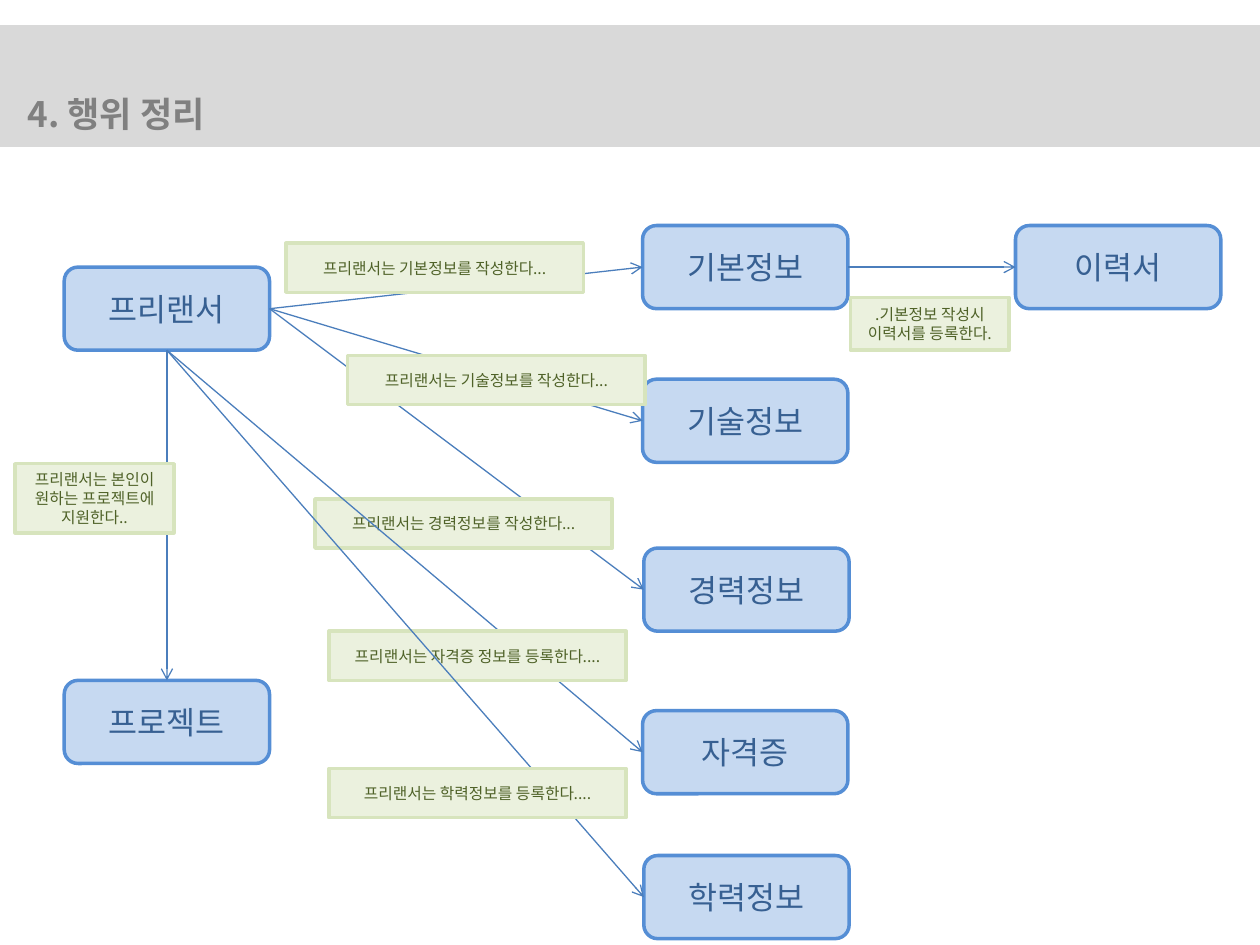
import pptx
import pptx.dml.color
import pptx.enum.shapes
import pptx.enum.text
import pptx.oxml
import pptx.oxml.ns
import pptx.util
from pptx.dml.color import RGBColor
from pptx.util import Inches

FONT = "Noto Sans CJK KR"
BAND_GREY = RGBColor(0xD9, 0xD9, 0xD9)
TITLE_GREY = RGBColor(0x80, 0x80, 0x80)
ENTITY_FILL = RGBColor(0xC6, 0xD9, 0xF1)
ENTITY_LINE = RGBColor(0x55, 0x8E, 0xD5)
ENTITY_TEXT = RGBColor(0x37, 0x60, 0x92)
NOTE_FILL = RGBColor(0xEB, 0xF1, 0xDE)
NOTE_LINE = RGBColor(0xD7, 0xE4, 0xBD)
NOTE_TEXT = RGBColor(0x4F, 0x62, 0x28)
LINK_BLUE = RGBColor(0x4B, 0x7E, 0xBC)

RECTANGLE = pptx.enum.shapes.MSO_SHAPE.RECTANGLE
ROUNDED = pptx.enum.shapes.MSO_SHAPE.ROUNDED_RECTANGLE
CENTER = pptx.enum.text.PP_ALIGN.CENTER
LEFT = pptx.enum.text.PP_ALIGN.LEFT
TOP, LEFT_SIDE, BOTTOM, RIGHT_SIDE = range(4)  # connection sites

ENTITY_SIZE = (1.63, 0.66)
WIDE_NOTE = (2.36, 0.39)

ENTITIES = {
    "프리랜서": (0.51, 2.12),
    "프로젝트": (0.51, 5.4),
    "기본정보": (5.1, 1.79),
    "이력서": (8.06, 1.79),
    "기술정보": (5.1, 3.01),
    "경력정보": (5.11, 4.35),
    "자격증": (5.1, 5.64),
    "학력정보": (5.11, 6.79),
}

# Each stage lays its links first and its notes over them.
STAGES = [
    ([("프리랜서", RIGHT_SIDE, name, LEFT_SIDE)
      for name in ("기본정보", "기술정보", "경력정보")],
     [("프리랜서는 기본정보를 작성한다...", (2.27, 1.93, *WIDE_NOTE)),
      ("프리랜서는 기술정보를 작성한다...", (2.76, 2.82, *WIDE_NOTE)),
      ("프리랜서는 경력정보를 작성한다...", (2.5, 3.96, *WIDE_NOTE))]),
    ([("기본정보", RIGHT_SIDE, "이력서", LEFT_SIDE)],
     [(".기본정보 작성시 이력서를 등록한다.", (6.75, 2.36, 1.26, 0.42))]),
    ([("프리랜서", BOTTOM, "프로젝트", TOP)],
     [("프리랜서는 본인이 원하는 프로젝트에 지원한다..", (0.12, 3.68, 1.26, 0.55))]),
    ([("프리랜서", BOTTOM, "자격증", LEFT_SIDE)],
     [("프리랜서는 자격증 정보를 등록한다....", (2.61, 5.01, *WIDE_NOTE))]),
    ([("프리랜서", BOTTOM, "학력정보", LEFT_SIDE)],
     [("프리랜서는 학력정보를 등록한다....", (2.61, 6.1, *WIDE_NOTE))]),
]


def write_text(shape, text, size, color, alignment=CENTER, bold=False):
    """Write one run into the shape, vertically centred."""
    frame = shape.text_frame
    frame.word_wrap = True
    frame.vertical_anchor = pptx.enum.text.MSO_ANCHOR.MIDDLE
    paragraph = frame.paragraphs[0]
    paragraph.alignment = alignment
    run = paragraph.add_run()
    run.text = text
    run.font.name = FONT
    run.font.size = pptx.util.Pt(size)
    run.font.bold = bold
    run.font.color.rgb = color
    east_asian = pptx.oxml.parse_xml(
        f'<a:ea {pptx.oxml.ns.nsdecls("a")} typeface="{FONT}"/>')
    run.font._element.append(east_asian)


def add_box(slide, kind, box, fill, line):
    """Add a flat filled shape with a two-point outline."""
    shape = slide.shapes.add_shape(kind, *map(Inches, box))
    shape.shadow.inherit = False
    shape.fill.solid()
    shape.fill.fore_color.rgb = fill
    shape.line.color.rgb = line
    shape.line.width = pptx.util.Pt(2)
    return shape


def add_header(slide, box):
    """Lay the grey band in the box and place the title over it."""
    left, top, width, height = box
    band = add_box(slide, RECTANGLE, box, BAND_GREY, BAND_GREY)
    slide.shapes._spTree.insert(2, band._element)
    title = slide.shapes.title
    title.left, title.top = Inches(left + 0.12), Inches(top + 0.47)
    title.width, title.height = Inches(3.78), Inches(0.44)
    write_text(title, "4. 행위 정리", 20, TITLE_GREY, LEFT, True)


def add_entity(slide, name, box):
    """Add a rounded blue entity box."""
    shape = add_box(slide, ROUNDED, box, ENTITY_FILL, ENTITY_LINE)
    write_text(shape, name, 18, ENTITY_TEXT)
    return shape


def add_note(slide, text, box):
    """Add a green box describing an action."""
    shape = add_box(slide, RECTANGLE, box, NOTE_FILL, NOTE_LINE)
    write_text(shape, text, 9, NOTE_TEXT)


def add_link(slide, source, source_site, target, target_site):
    """Join two entities with a thin arrow."""
    connector = slide.shapes.add_connector(
        pptx.enum.shapes.MSO_CONNECTOR.STRAIGHT, 0, 0, 0, 0)
    connector.begin_connect(source, source_site)
    connector.end_connect(target, target_site)
    connector.line.color.rgb = LINK_BLUE
    connector.line.width = pptx.util.Pt(0.75)
    namespace = pptx.oxml.ns.nsdecls("a")
    connector.line._get_or_add_ln().append(
        pptx.oxml.parse_xml(f'<a:tailEnd {namespace} type="arrow"/>'))
    connector._element.spPr.append(
        pptx.oxml.parse_xml(f'<a:effectLst {namespace}/>'))


def add_diagram(slide, box):
    """Draw the entities, links and notes relative to the box's corner."""
    left, top = box[:2]

    def place(x, y, width, height):
        """Shift a rectangle by the corner of the diagram."""
        return left + x, top + y, width, height

    entities = {name: add_entity(slide, name, place(*corner, *ENTITY_SIZE))
                for name, corner in ENTITIES.items()}
    for links, notes in STAGES:
        for source, source_site, target, target_site in links:
            add_link(slide, entities[source], source_site,
                     entities[target], target_site)
        for text, note_box in notes:
            add_note(slide, text, place(*note_box))


presentation = pptx.Presentation()
presentation.slide_width = Inches(10)
presentation.slide_height = Inches(7.5)
action_slide = presentation.slides.add_slide(presentation.slide_layouts[5])
add_header(action_slide, (0, 0.21, 10, 0.94))
add_diagram(action_slide, (0, 0, 10, 7.5))
presentation.save("out.pptx")
